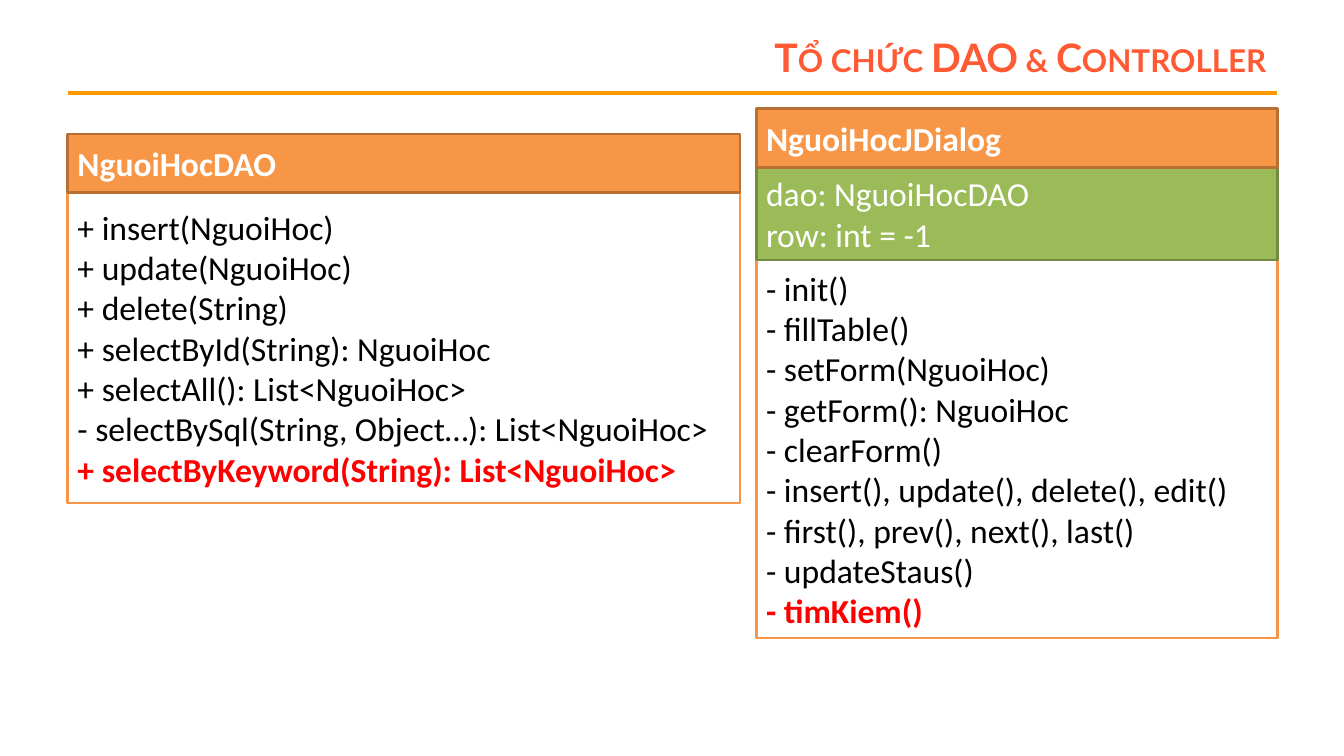
from dataclasses import dataclass

from pptx import Presentation
from pptx.dml.color import RGBColor
from pptx.enum.shapes import MSO_CONNECTOR, MSO_SHAPE
from pptx.enum.text import MSO_ANCHOR, PP_ALIGN
from pptx.oxml import parse_xml
from pptx.oxml.ns import nsdecls
from pptx.util import Inches, Pt

TITLE = "Tổ chức DAO & Controller"
# Each section: kind, height in inches, lines; a line starting with "*" is highlighted.
CLASSES = [
    {"left": 0.67, "top": 1.33, "width": 6.67, "sections": [
        ("header", 0.58, ["NguoiHocDAO"]),
        ("methods", 3.08, [
            "+ insert(NguoiHoc)",
            "+ update(NguoiHoc)",
            "+ delete(String)",
            "+ selectById(String): NguoiHoc",
            "+ selectAll(): List<NguoiHoc>",
            "- selectBySql(String, Object…): List<NguoiHoc>",
            "*+ selectByKeyword(String): List<NguoiHoc>",
        ]),
    ]},
    {"left": 7.5, "top": 1.08, "width": 5.17, "sections": [
        ("header", 0.58, ["NguoiHocJDialog"]),
        ("fields", 0.92, ["dao: NguoiHocDAO", "row: int = -1"]),
        ("methods", 3.75, [
            "- init()",
            "- fillTable()",
            "- setForm(NguoiHoc)",
            "- getForm(): NguoiHoc",
            "- clearForm()",
            "- insert(), update(), delete(), edit()",
            "- first(), prev(), next(), last()",
            "- updateStaus()",
            "*- timKiem()",
        ]),
    ]},
]


@dataclass(frozen=True)
class Theme:
    title_font: str = "Lato"
    body_font: str = "Calibri"
    title_size: int = 28
    body_size: int = 24
    title: str = "FF5A33"
    rule: str = "FF9900"
    highlight: str = "FF0000"


THEME = Theme()
SECTION_STYLES = {
    "header": {"fill": "F79646", "line": "B76F34", "color": "FFFFFF", "bold": True},
    "fields": {"fill": "9BBB59", "line": "738A42", "color": "FFFFFF", "bold": False},
    "methods": {"fill": "FFFFFF", "line": "F79646", "color": "000000", "bold": False},
}


def rgb(code):
    return RGBColor.from_string(code)


def write(frame, lines, *, color, bold=False, font=THEME.body_font,
          size=THEME.body_size, align=PP_ALIGN.LEFT, small_caps=False):
    frame.word_wrap = True
    frame.vertical_anchor = MSO_ANCHOR.MIDDLE
    for index, line in enumerate(lines):
        paragraph = frame.add_paragraph() if index else frame.paragraphs[0]
        paragraph.alignment = align
        run = paragraph.add_run()
        run.text = line.removeprefix("*")
        marked = line.startswith("*")
        run.font.name = font
        run.font.size = Pt(size)
        run.font.bold = bold or marked
        run.font.color.rgb = rgb(THEME.highlight if marked else color)
        if small_caps:
            run.font._element.set("cap", "small")


def add_title(slide):
    rule = slide.shapes.add_connector(MSO_CONNECTOR.STRAIGHT, Inches(0.67), Inches(0.92),
                                      Inches(12.67), Inches(0.92))
    rule.line.color.rgb = rgb(THEME.rule)
    rule.line.width = Pt(3)
    rule._element.spPr.append(parse_xml(f"<a:effectLst {nsdecls('a')}/>"))
    title = slide.shapes.add_textbox(Inches(2.44), Inches(0.3), Inches(10.22), Inches(0.53))
    write(title.text_frame, [TITLE], color=THEME.title, bold=True, font=THEME.title_font,
          size=THEME.title_size, align=PP_ALIGN.RIGHT, small_caps=True)


def add_section(slide, left, top, width, height, kind, lines):
    style = SECTION_STYLES[kind]
    section = slide.shapes.add_shape(MSO_SHAPE.RECTANGLE, Inches(left), Inches(top),
                                     Inches(width), Inches(height))
    section.shadow.inherit = False
    section.fill.solid()
    section.fill.fore_color.rgb = rgb(style["fill"])
    section.line.color.rgb = rgb(style["line"])
    section.line.width = Pt(2)
    write(section.text_frame, lines, color=style["color"], bold=style["bold"])


def add_class(slide, left, top, width, sections):
    """Stack the sections from the bottom up, so upper borders cover lower ones."""
    bottom = top + sum(height for _, height, _ in sections)
    for kind, height, lines in reversed(sections):
        bottom -= height
        add_section(slide, left, bottom, width, height, kind, lines)


def main():
    deck = Presentation()
    deck.slide_width, deck.slide_height = Inches(13.33), Inches(7.5)
    slide = deck.slides.add_slide(deck.slide_layouts[6])
    add_title(slide)
    for diagram in CLASSES:
        add_class(slide, **diagram)
    deck.save("out.pptx")


if __name__ == "__main__":
    main()
